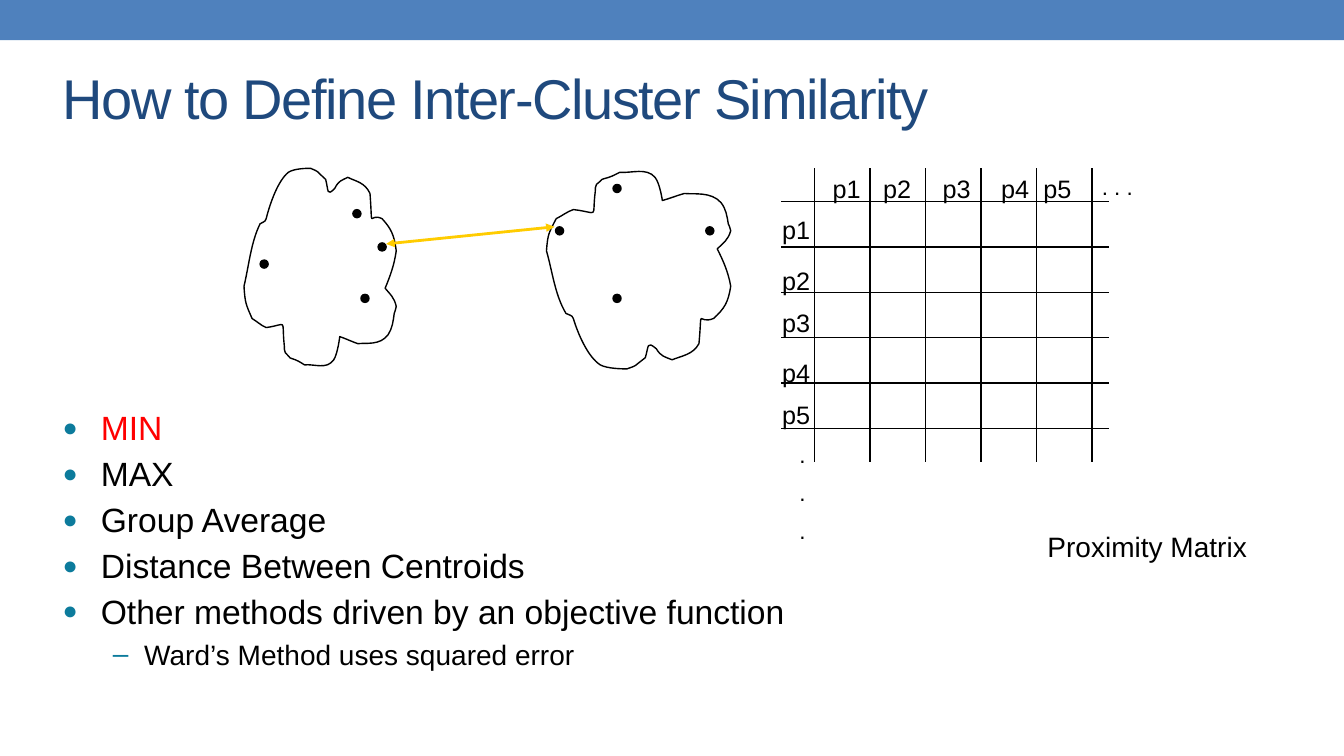
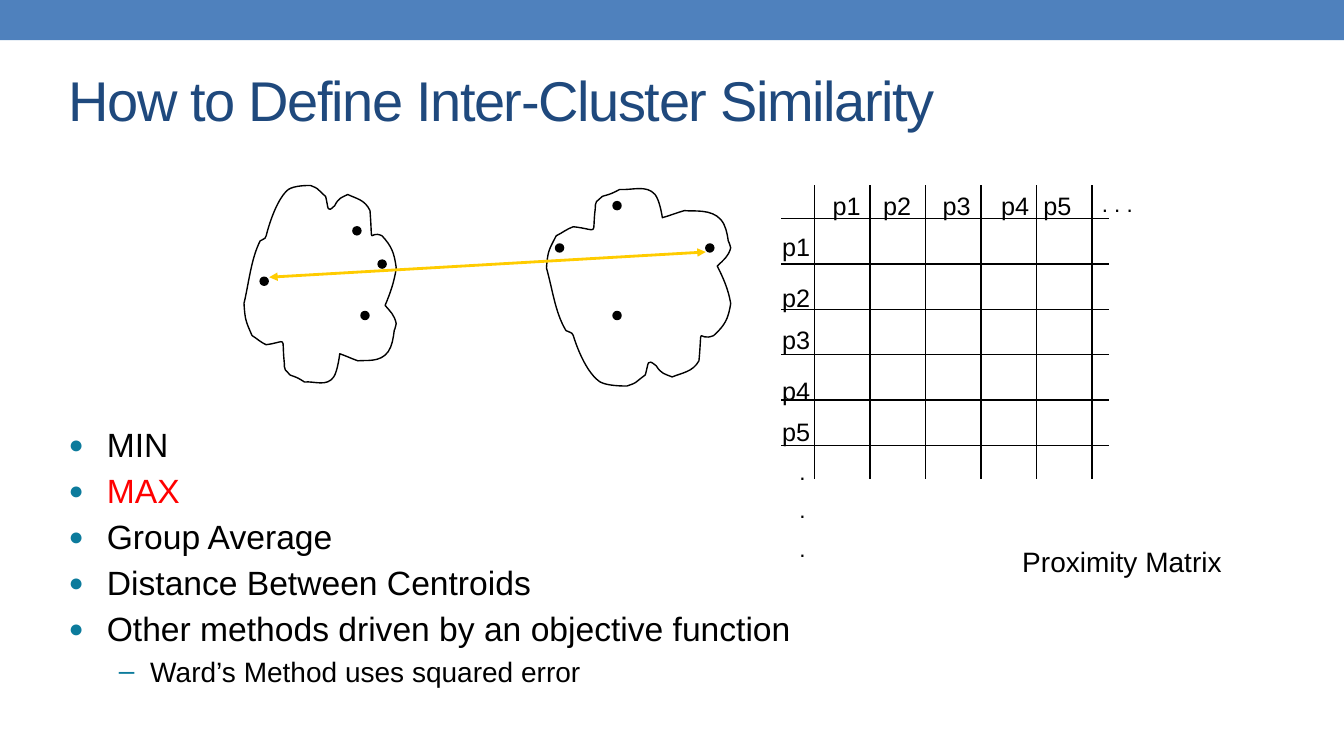
from pptx import Presentation
from pptx.dml.color import RGBColor
from pptx.enum.shapes import MSO_CONNECTOR, MSO_SHAPE
from pptx.enum.text import MSO_ANCHOR, MSO_AUTO_SIZE, PP_ALIGN
from pptx.oxml import parse_xml
from pptx.oxml.ns import nsdecls, qn
from pptx.util import Inches, Pt

FONT = "Arial"
COLORS = {
    "band": "4F81BD",
    "title": "1F497D",
    "ink": "000000",
    "highlight": "FF0000",
    "arrow": "FFCC00",
    "bullet": "0C7B9C",
}
TITLE = "How to Define Inter-Cluster Similarity"
METHODS = [
    ("MIN", 0),
    ("MAX", 0),
    ("Group Average", 0),
    ("Distance Between Centroids", 0),
    ("Other methods driven by an objective function", 0),
    ("Ward’s Method uses squared error", 1),
]
# Per list level: text size, left margin, hanging indent, bullet, bullet size in percent
LEVELS = [(24, 0.38, 0.38, "●", 75), (20, 0.81, 0.31, "–", 100)]

# Proximity matrix: grid lines and label places
COLUMN_LINES = [8.08 + 0.55 * i for i in range(6)]
ROW_LINES = [2 + 0.45 * i for i in range(6)]
COLUMN_LABELS = [8.16, 8.66, 9.25, 9.83, 10.25]
ROW_LABELS = [2.08, 2.58, 3, 3.5, 3.91]

# Cluster outline: a start point, then Bezier curves (two controls and an end each)
OUTLINE_START = (2.58, 2.22)
OUTLINE_CURVES = [
    ((2.49, 2.4), (2.47, 2.63), (2.42, 2.84)),
    ((2.43, 3.01), (2.44, 3.02), (2.5, 3.16)),
    ((2.55, 3.19), (2.59, 3.23), (2.64, 3.25)),
    ((2.86, 3.22), (2.79, 3.15), (2.82, 3.43)),
    ((2.82, 3.46), (2.82, 3.48), (2.83, 3.5)),
    ((2.9, 3.57), (2.85, 3.54), (2.93, 3.57)),
    ((2.96, 3.58), (3.02, 3.62), (3.02, 3.62)),
    ((3.12, 3.61), (3.24, 3.67), (3.31, 3.57)),
    ((3.35, 3.51), (3.37, 3.34), (3.37, 3.34)),
    ((3.43, 3.36), (3.49, 3.39), (3.55, 3.41)),
    ((3.63, 3.4), (3.77, 3.43), (3.85, 3.32)),
    ((3.89, 3.26), (3.9, 3.19), (3.91, 3.11)),
    ((3.92, 3.09), (3.93, 3.04), (3.93, 3.04)),
    ((3.91, 2.95), (3.87, 2.92), (3.82, 2.86)),
    ((3.87, 2.74), (3.91, 2.63), (3.93, 2.49)),
    ((3.91, 2.33), (3.88, 2.27), (3.79, 2.17)),
    ((3.65, 2.1), (3.7, 2.32), (3.67, 1.92)),
    ((3.62, 1.81), (3.53, 1.8), (3.45, 1.76)),
    ((3.39, 1.79), (3.36, 1.79), (3.32, 1.87)),
    ((3.24, 1.95), (3.26, 1.9), (3.23, 1.78)),
    ((3.12, 1.68), (3.17, 1.71), (3.08, 1.67)),
    ((3.05, 1.67), (2.92, 1.67), (2.86, 1.71)),
    ((2.76, 1.79), (2.68, 2.01), (2.64, 2.17)),
    ((2.63, 2.21), (2.6, 2.2), (2.58, 2.22)),
]
OUTLINE = [OUTLINE_START, *(point for curve in OUTLINE_CURVES for point in curve)]
POINTS = [
    (3.58, 2.92), (3.5, 2.08), (2.58, 2.58), (3.75, 2.41),
    (7, 2.25), (5.51, 2.25), (6.08, 2.92), (6.08, 1.83),
]

# What differs between the slides
PAGES = [
    {"shift": 0, "title": (0.52, 0.46, 9.06, 1), "list": (0.52, 3.99, 7.89, 3.42),
     "caption": (10.29, 5.2), "arrow": ((3.83, 2.42), (5.5, 2.25)), "chosen": "MIN"},
    {"shift": 0.17, "title": (0.58, 0.25, 9.06, 1.46), "list": (0.58, 4.16, 7.83, 3.42),
     "caption": (10.04, 5.35), "arrow": ((2.67, 2.75), (7, 2.5)), "chosen": "MAX"},
]


def rgb(name):
    return RGBColor.from_string(COLORS[name])


def set_all(target, values):
    for name, value in values.items():
        setattr(target, name, value)


def set_font(font, size, color="ink"):
    set_all(font, {"name": FONT, "size": Pt(size)})
    font.color.rgb = rgb(color)


def place(shape, left, top, width, height):
    set_all(shape, {"left": Inches(left), "top": Inches(top),
                    "width": Inches(width), "height": Inches(height)})


def add_line(shapes, start, end, color="ink", width=1, arrows=False):
    connector = shapes.add_connector(MSO_CONNECTOR.STRAIGHT, *map(Inches, (*start, *end)))
    connector.line.color.rgb = rgb(color)
    connector.line.width = Pt(width)
    properties = connector.element.spPr
    if arrows:
        for end_name in ("headEnd", "tailEnd"):
            properties.ln.append(parse_xml(f'<a:{end_name} {nsdecls("a")} type="triangle"/>'))
    properties.append(parse_xml(f'<a:effectLst {nsdecls("a")}/>'))


def add_label(shapes, lines, left, top, width=0.58, height=0.4, size=18):
    box = shapes.add_textbox(*map(Inches, (left, top, width, height)))
    frame = box.text_frame
    frame.word_wrap = True
    for i, line in enumerate(lines):
        para = frame.paragraphs[0] if i == 0 else frame.add_paragraph()
        para.text = line
        set_font(para.runs[0].font, size)
        if i:
            para.space_before = Pt(size / 2)


def add_matrix(page, shift):
    shapes = page.shapes.add_group_shape().shapes
    for x in COLUMN_LINES:
        add_line(shapes, (x, 1.67 + shift), (x, 4.58 + shift))
    for y in ROW_LINES:
        add_line(shapes, (7.75, y + shift), (11, y + shift))
    for i, (left, top) in enumerate(zip(COLUMN_LABELS, ROW_LABELS), start=1):
        add_label(shapes, [f"p{i}"], left, 1.67 + shift)
        add_label(shapes, [f"p{i}"], 7.66, top + shift)
    # Ellipses for further columns and rows
    add_label(shapes, [". . ."], 10.83, 1.67 + shift, height=0.37, size=16)
    add_label(shapes, ["."] * 3, 7.83, 4.33 + shift, height=1.17, size=16)


def add_cluster(page, points):
    start, *rest = [(Inches(x), Inches(y)) for x, y in points]
    builder = page.shapes.build_freeform(*start)
    builder.add_line_segments(rest, close=True)
    cluster = builder.convert_to_shape()
    # Join every three straight segments into one Bezier curve
    segments = list(cluster.element.iter(qn("a:lnTo")))
    for i in range(0, len(segments), 3):
        curve = parse_xml(f'<a:cubicBezTo {nsdecls("a")}/>')
        segments[i].addprevious(curve)
        for segment in segments[i:i + 3]:
            curve.append(segment[0])
            segment.getparent().remove(segment)
    cluster.shadow.inherit = False
    cluster.fill.background()
    cluster.line.color.rgb = rgb("ink")
    cluster.line.width = Pt(1)


def add_clusters(page, shift):
    add_cluster(page, [(x, y + shift) for x, y in OUTLINE])
    # The right cluster is the left one, widened and turned upside down
    add_cluster(page, [(5.42 + 1.21 * (x - 2.42), 5.33 - y + shift) for x, y in OUTLINE])
    for x, y in POINTS:
        dot = page.shapes.add_shape(MSO_SHAPE.OVAL, *map(Inches, (x, y + shift, 0.08, 0.08)))
        dot.shadow.inherit = False
        dot.fill.solid()
        dot.fill.fore_color.rgb = dot.line.color.rgb = rgb("ink")
        dot.line.width = Pt(1)


def fill_title(page, bounds):
    title = page.shapes.title
    place(title, *bounds)
    set_all(title.text_frame, {"text": TITLE, "vertical_anchor": MSO_ANCHOR.MIDDLE,
                               "auto_size": MSO_AUTO_SIZE.NONE, "word_wrap": True})
    para = title.text_frame.paragraphs[0]
    para.alignment = PP_ALIGN.LEFT
    span = para.runs[0]
    set_font(span.font, 40, "title")
    span._r.get_or_add_rPr().set("spc", "-100")


def add_bullet(para, left, hanging, char, percent):
    properties = para._p.get_or_add_pPr()
    properties.set("marL", str(Inches(left)))
    properties.set("indent", str(-Inches(hanging)))
    for xml in (f'<a:buClr {nsdecls("a")}><a:srgbClr val="{COLORS["bullet"]}"/></a:buClr>',
                f'<a:buSzPct {nsdecls("a")} val="{percent * 1000}"/>',
                f'<a:buFont {nsdecls("a")} typeface="{FONT}"/>',
                f'<a:buChar {nsdecls("a")} char="{char}"/>'):
        properties.append(parse_xml(xml))


def fill_methods(page, bounds, chosen):
    body = page.placeholders[1]
    place(body, *bounds)
    frame = body.text_frame
    set_all(frame, {"auto_size": MSO_AUTO_SIZE.NONE, "word_wrap": True})
    for i, (text, level) in enumerate(METHODS):
        size, *bullet = LEVELS[level]
        para = frame.paragraphs[0] if i == 0 else frame.add_paragraph()
        add_bullet(para, *bullet)
        set_all(para, {"text": text, "level": level, "space_after": Pt(2),
                       "space_before": Pt(2 if i else 0)})
        set_font(para.runs[0].font, size, "highlight" if text == chosen else "ink")


def add_master_band(deck, page):
    """Draw the top band and move it to the master, behind everything."""
    band = page.shapes.add_shape(MSO_SHAPE.RECTANGLE, 0, 0, deck.slide_width, Inches(0.4))
    band.shadow.inherit = False
    band.fill.solid()
    band.fill.fore_color.rgb = rgb("band")
    band.line.fill.background()
    band.element.nvSpPr.cNvPr.set("id", "100")
    deck.slide_master.element.cSld.spTree.insert(2, band.element)


def main():
    deck = Presentation()
    deck.slide_width, deck.slide_height = Inches(13.33), Inches(7.5)
    for number, content in enumerate(PAGES):
        page = deck.slides.add_slide(deck.slide_layouts[1])
        if number == 0:
            add_master_band(deck, page)
        fill_title(page, content["title"])
        add_matrix(page, content["shift"])
        add_clusters(page, content["shift"])
        add_line(page.shapes, *content["arrow"], color="arrow", width=2, arrows=True)
        add_label(page.shapes, ["Proximity Matrix"], *content["caption"], 2.75, 0.43, 20)
        fill_methods(page, content["list"], content["chosen"])
    deck.save("out.pptx")


if __name__ == "__main__":
    main()
